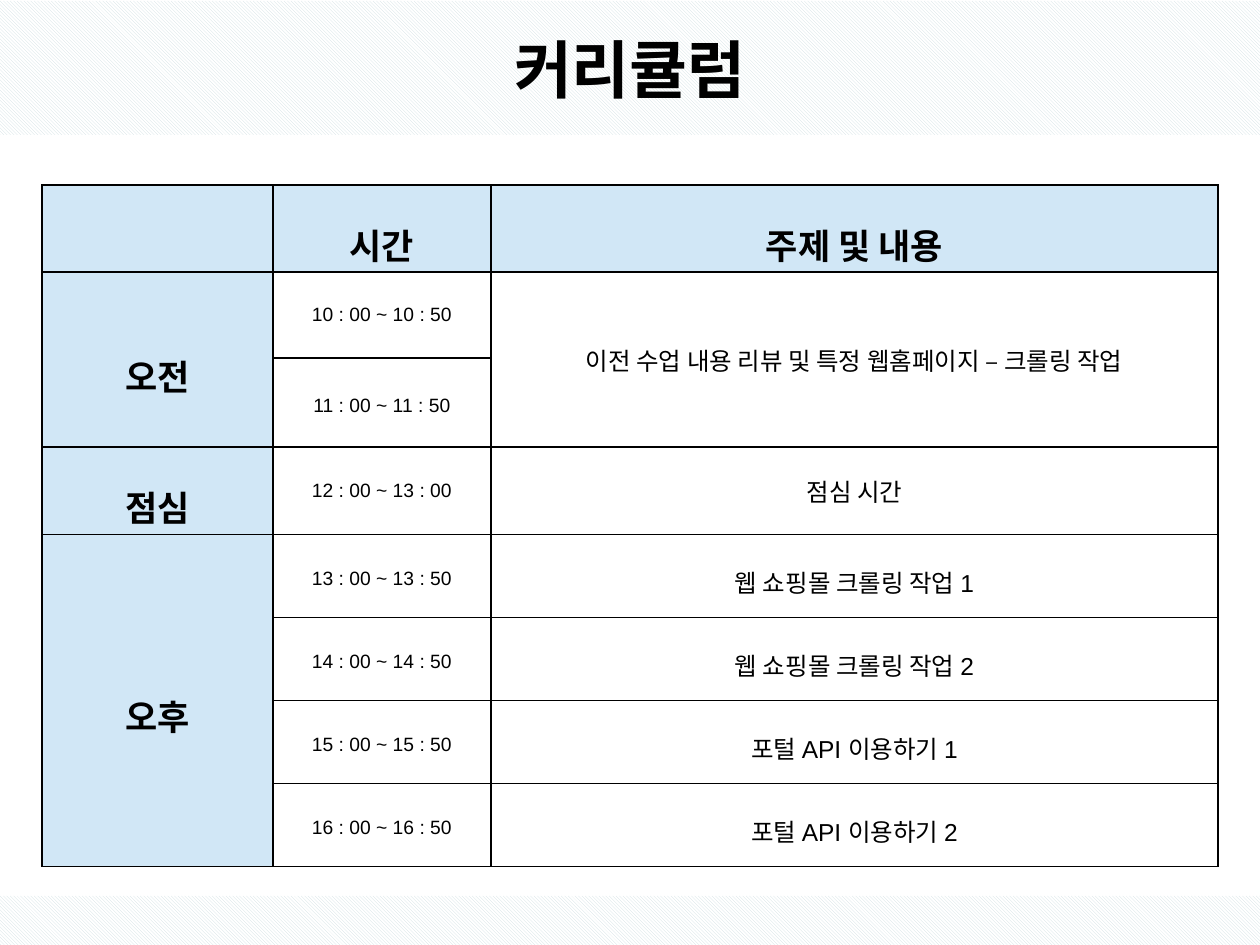
from lxml.etree import SubElement
from pptx import Presentation
from pptx.dml.color import RGBColor
from pptx.enum.dml import MSO_PATTERN
from pptx.enum.shapes import MSO_SHAPE
from pptx.enum.text import MSO_ANCHOR, PP_ALIGN
from pptx.oxml.ns import qn
from pptx.util import Emu, Pt

# Content: sessions are (time, topic); a topic of None continues the one above
TITLE = "커리큘럼"
HEADINGS = ["", "시간", "주제 및 내용"]
PERIODS = [
    ("오전", [("10 : 00 ~ 10 : 50", "이전 수업 내용 리뷰 및 특정 웹홈페이지 – 크롤링 작업"),
             ("11 : 00 ~ 11 : 50", None)]),
    ("점심", [("12 : 00 ~ 13 : 00", "점심 시간")]),
    ("오후", [("13 : 00 ~ 13 : 50", "웹 쇼핑몰 크롤링 작업 1"),
             ("14 : 00 ~ 14 : 50", "웹 쇼핑몰 크롤링 작업 2"),
             ("15 : 00 ~ 15 : 50", "포털 API 이용하기 1"),
             ("16 : 00 ~ 16 : 50", "포털 API 이용하기 2")]),
]
LOOSE_TIMES = {"11 : 00 ~ 11 : 50"}

# Layout in px, 126 to the inch
WIDTH, HEIGHT = 1260, 945
TITLE_BAND = (0, 1, WIDTH, 134)
FOOTER_BAND = (0, 896, WIDTH, 49)
TABLE_LEFT, TABLE_TOP = 42, 185
COLUMNS = [231, 218, 727]
ROWS = [73, 86, 89] + [83] * 5
CELL_INSET = 3

LATIN, KOREAN = "Arial", "Noto Sans CJK KR"
BLACK, WHITE, PALE_BLUE, HATCH = "000000", "FFFFFF", "D1E7F6", "CEDEE2"


def px(length):
    return Emu(length * 914400 // 126)


def color(value):
    return RGBColor.from_string(value)


def write(frame, text, size, bold=False, font=LATIN, spacing=None):
    line = frame.paragraphs[0]
    line.text = text
    line.alignment = PP_ALIGN.CENTER
    if spacing:
        line.line_spacing = spacing
    line.font.size = Pt(size)
    line.font.bold = bold
    line.font.name = font
    line.font.color.rgb = color(BLACK)


def add_band(slide, box):
    band = slide.shapes.add_shape(MSO_SHAPE.RECTANGLE, *map(px, box))
    band.shadow.inherit = False
    band.line.fill.background()
    band.fill.patterned()
    band.fill.pattern = MSO_PATTERN.LIGHT_DOWNWARD_DIAGONAL
    band.fill.fore_color.rgb = color(HATCH)
    band.fill.back_color.rgb = color(WHITE)
    return band


def style_cell(cell, fill):
    cell.vertical_anchor = MSO_ANCHOR.MIDDLE
    cell.margin_left = cell.margin_right = px(CELL_INSET)
    cell.margin_top = cell.margin_bottom = px(CELL_INSET)
    properties = cell._tc.get_or_add_tcPr()
    for side in ("lnL", "lnR", "lnT", "lnB"):
        border = SubElement(properties, qn(f"a:{side}"), w=str(Pt(1)))
        SubElement(SubElement(border, qn("a:solidFill")), qn("a:srgbClr"), val=BLACK)
    cell.fill.solid()
    cell.fill.fore_color.rgb = color(fill)


def fill_timetable(table):
    for column, width in zip(table.columns, COLUMNS):
        column.width = px(width)
    for row, height in zip(table.rows, ROWS):
        row.height = px(height)
    for r in range(len(ROWS)):
        for c in range(len(COLUMNS)):
            style_cell(table.cell(r, c), PALE_BLUE if r == 0 or c == 0 else WHITE)

    for c, heading in enumerate(HEADINGS):
        if heading:
            write(table.cell(0, c).text_frame, heading, 20, True, spacing=1.6)

    row = 1
    for period, sessions in PERIODS:
        last = row + len(sessions) - 1
        if last > row:
            table.cell(row, 0).merge(table.cell(last, 0))
        write(table.cell(row, 0).text_frame, period, 20, True, spacing=1.6)
        for time, topic in sessions:
            afternoon = 1.3 if period == "오후" else None
            write(table.cell(row, 1).text_frame, time, 11,
                  spacing=1.3 if time in LOOSE_TIMES else afternoon)
            if topic is None:
                table.cell(row - 1, 2).merge(table.cell(row, 2))
            else:
                write(table.cell(row, 2).text_frame, topic, 14,
                      font=KOREAN if "–" in topic else LATIN, spacing=afternoon)
            row += 1


def main():
    deck = Presentation()
    deck.slide_width, deck.slide_height = px(WIDTH), px(HEIGHT)
    slide = deck.slides.add_slide(deck.slide_layouts[6])

    # Hatched bands, the upper one carrying the title
    add_band(slide, FOOTER_BAND)
    title = add_band(slide, TITLE_BAND).text_frame
    title.vertical_anchor = MSO_ANCHOR.MIDDLE
    write(title, TITLE, 36, True, KOREAN)

    # Timetable
    timetable = slide.shapes.add_table(
        len(ROWS), len(COLUMNS), px(TABLE_LEFT), px(TABLE_TOP),
        px(sum(COLUMNS)), px(sum(ROWS))).table
    fill_timetable(timetable)

    deck.save("out.pptx")


if __name__ == "__main__":
    main()
